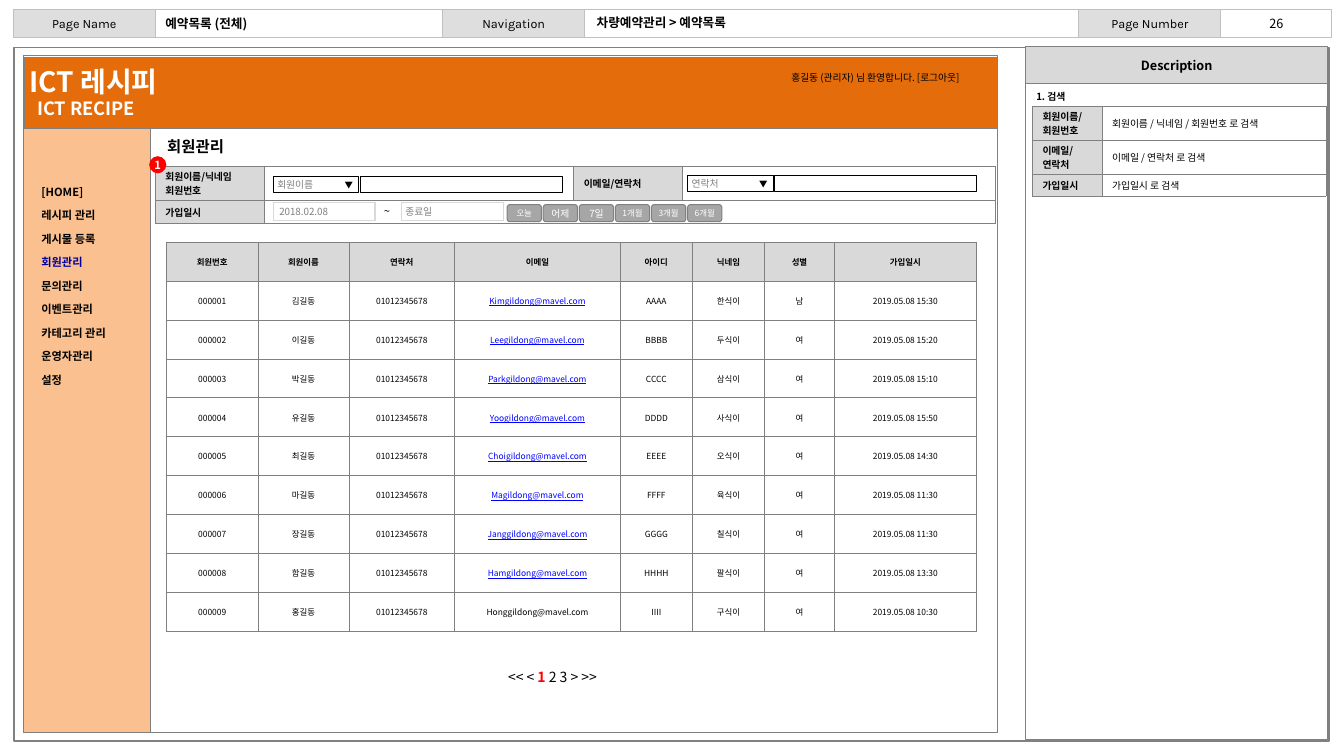
import dataclasses

import pptx
import pptx.dml.color
import pptx.enum.shapes
import pptx.enum.text
import pptx.oxml.ns
import pptx.util
from lxml import etree

SHAPE = pptx.enum.shapes.MSO_SHAPE
ALIGN = pptx.enum.text.PP_ALIGN
qn = pptx.oxml.ns.qn


@dataclasses.dataclass(frozen=True)
class Theme:
    font: str = "Noto Sans CJK KR"
    label_font: str = "Karla"
    black: str = "000000"
    white: str = "FFFFFF"
    line: str = "808080"
    bar_line: str = "C0C0C0"
    bar_fill: str = "DEDEDE"
    head_fill: str = "D9D9D9"
    button: str = "A6A6A6"
    orange: str = "E46C0A"
    peach: str = "FAC090"
    red: str = "FF0000"
    current: str = "000099"
    mail: str = "0000FF"
    tiny: int = 6
    small: int = 7
    menu: int = 8
    bar: int = 9
    pager: int = 10
    heading: int = 11
    subbrand: int = 13
    brand: int = 20


THEME = Theme()


@dataclasses.dataclass
class Cell:
    """One table cell: its paragraphs, its fill and its text style."""
    lines: tuple = ()
    fill: str = THEME.white
    style: dict = dataclasses.field(default_factory=dict)


class Wireframe:
    """Draws on one slide; lengths are columns and rows of a 0.1 inch grid."""
    unit = pptx.util.Inches(0.1)

    def __init__(self, slide, theme):
        self.slide, self.theme = slide, theme

    def grid(self, *lengths):
        return [round(n * self.unit) for n in lengths]

    def color(self, value):
        return pptx.dml.color.RGBColor.from_string(value)

    def add_lines(self, frame, lines, align=ALIGN.LEFT, **style):
        """Each line is a string or a list of (text, style changes) runs."""
        for i, line in enumerate(lines):
            paragraph = frame.paragraphs[0] if i == 0 else frame.add_paragraph()
            paragraph.alignment = align
            for text, change in [(line, {})] if isinstance(line, str) else line:
                self.add_run(paragraph, text, **{**style, **change})

    def add_run(self, paragraph, text, size, color=THEME.black, bold=False,
                underline=False, font=THEME.font):
        run = paragraph.add_run()
        run.text = text
        run.font.size = pptx.util.Pt(size)
        run.font.bold = bold
        run.font.underline = underline
        run.font.color.rgb = self.color(color)
        run.font.name = font
        etree.SubElement(run.font._element, qn("a:ea"), typeface=font)

    def set_frame(self, frame, wrap, middle, inset):
        anchor = pptx.enum.text.MSO_ANCHOR
        frame.auto_size = pptx.enum.text.MSO_AUTO_SIZE.NONE
        frame.word_wrap = wrap
        frame.vertical_anchor = anchor.MIDDLE if middle else anchor.TOP
        frame.margin_left, frame.margin_top = self.grid(*inset)
        frame.margin_right, frame.margin_bottom = self.grid(*inset)

    def title(self, at, lines, **style):
        title = self.slide.shapes.title
        title.left, title.top, title.width, title.height = self.grid(*at)
        self.set_frame(title.text_frame, True, True, (1, 0.5))
        self.add_lines(title.text_frame, lines, **style)

    def text(self, at, lines, wrap=False, middle=False, inset=(1, 0.5), **style):
        box = self.slide.shapes.add_textbox(*self.grid(*at))
        self.set_frame(box.text_frame, wrap, middle, inset)
        self.add_lines(box.text_frame, lines, **style)
        return box

    def box(self, at, fill=None, line=THEME.line, weight=0.75, kind=SHAPE.RECTANGLE,
            lines=(), inset=(0.4, 0), wrap=False, **style):
        shape = self.slide.shapes.add_shape(kind, *self.grid(*at))
        shape.shadow.inherit = False
        if fill:
            shape.fill.solid()
            shape.fill.fore_color.rgb = self.color(fill)
        else:
            shape.fill.background()
        if line:
            shape.line.color.rgb = self.color(line)
            shape.line.width = pptx.util.Pt(weight)
        else:
            shape.line.fill.background()
        if lines:
            self.set_frame(shape.text_frame, wrap, True, inset)
            self.add_lines(shape.text_frame, lines, **style)

    def table(self, corner, widths, heights, rows, size, border=THEME.line, **style):
        at = self.grid(*corner, sum(widths), sum(heights))
        table = self.slide.shapes.add_table(len(rows), len(widths), *at).table
        table.first_row = table.horz_banding = False
        for column, width in zip(table.columns, self.grid(*widths)):
            column.width = width
        for row, height in zip(table.rows, self.grid(*heights)):
            row.height = height
        for r, row in enumerate(rows):
            for c, content in enumerate(row):
                self.fill_cell(table.cell(r, c), content, size, border, style)
        return table

    def fill_cell(self, cell, content, size, border, style):
        cell.vertical_anchor = pptx.enum.text.MSO_ANCHOR.MIDDLE
        cell.margin_top, cell.margin_bottom = self.grid(0.2, 0.2)
        if content.fill:
            cell.fill.solid()
            cell.fill.fore_color.rgb = self.color(content.fill)
        else:
            cell.fill.background()
        self.add_lines(cell.text_frame, content.lines, size=size, **{**style, **content.style})
        if not content.lines:
            etree.SubElement(cell.text_frame.paragraphs[0]._p, qn("a:endParaRPr"), sz=str(size * 100))
        for i, side in enumerate(("a:lnL", "a:lnR", "a:lnT", "a:lnB")):
            edge = etree.Element(qn(side), w=str(pptx.util.Pt(0.5)))
            if border:
                solid = etree.SubElement(edge, qn("a:solidFill"))
                etree.SubElement(solid, qn("a:srgbClr"), val=border)
            else:
                etree.SubElement(edge, qn("a:noFill"))
            cell._tc.get_or_add_tcPr().insert(i, edge)


def head(*lines):
    return Cell(lines, THEME.head_fill, {"bold": True})


def draw_page_bar(page, t):
    page.box((1.4, 4.7, 130.4, 68.8), weight=1)
    page.box((1.6, 0.9, 130.5, 2.8), line=t.bar_line)
    for left, label in ((1.3, "Page Name"), (43.9, "Navigation"), (107, "Page Number")):
        page.box((left, 0.9, 14.1, 2.8), t.bar_fill, t.bar_line, lines=[label],
                 align=ALIGN.CENTER, size=t.bar, font=t.label_font)
    page.text((121.2, 1.1, 10.8, 2.5), ["26"], wrap=True, align=ALIGN.CENTER, size=t.bar)
    page.title((15.4, 1, 28.5, 2.7), ["예약목록 (전체)"], size=t.bar, bold=True)
    page.text((58.2, 0.9, 28.5, 2.7), ["차량예약관리 > 예약목록"], wrap=True, middle=True,
              size=t.bar, bold=True)


def draw_description(page, t):
    page.box((101.7, 4.7, 30, 68.7))
    page.box((101.7, 4.6, 30, 3.7), t.head_fill, lines=["Description"],
             align=ALIGN.CENTER, size=t.bar, bold=True)
    page.text((101.8, 8.5, 30, 2.1), ["1. 검색"], wrap=True, size=t.small, bold=True)
    notes = [(("회원이름/", "회원번호"), "회원이름 / 닉네임 / 회원번호 로 검색"),
             (("이메일/", "연락처"), "이메일 / 연락처 로 검색"),
             (("가입일시",), "가입일시 로 검색")]
    page.table((102.4, 10.55), (6.9, 22.2), (3.35, 3.35, 2.2),
               [(head(*field), Cell((note,))) for field, note in notes], t.small)


def draw_site_frame(page, t):
    page.box((2.3, 5.5, 96.6, 67.2))
    page.box((2.3, 12.4, 12.6, 60.3), t.peach)
    page.box((2.4, 5.7, 96.5, 7.1), t.orange)
    brand = page.text((2.5, 5.7, 33.5, 6.8),
                      ["ICT 레시피", [("ICT RECIPE", {"size": t.subbrand})]], wrap=True,
                      middle=True, inset=(0.4, 0), size=t.brand, color=t.white, bold=True)
    tagline = brand.text_frame.paragraphs[1]
    tagline._p.get_or_add_pPr().set("marL", str(page.grid(0.8)[0]))
    page.text((77.5, 6.6, 20.5, 2.2), ["홍길동 (관리자) 님 환영합니다. [로그아웃]"], size=t.small)
    menu = ["[HOME]", "레시피 관리", "게시물 등록", "회원관리", "문의관리", "이벤트관리",
            "카테고리 관리", "운영자관리", "설정"]
    page.table((3.1, 17.8), (11.4,), [21 / len(menu)] * len(menu),
               [[Cell((item,), None, {"color": t.current if item == "회원관리" else t.black})]
                for item in menu], t.menu, border=None, bold=True)


def draw_search(page, t):
    page.text((15.6, 13.1, 8.2, 2.9), ["회원관리"], size=t.heading, bold=True)
    search = page.table((15.4, 16.5), (10.8, 30.7, 10.8, 31), (3.35, 2.35),
                        [(head("회원이름/닉네임", "회원번호"), Cell(), head("이메일/연락처"), Cell()),
                         (head("가입일시"), Cell(), Cell(), Cell())], t.small)
    search.cell(1, 1).merge(search.cell(1, 3))
    # Drop-downs with their keyword fields
    for left, top, choice in ((27.1, 17.5, "회원이름"), (68.2, 17.4, "연락처")):
        page.box((left, top, 8.5, 1.6), t.white, t.black, lines=[choice], wrap=True,
                 size=t.small, color=t.line)
        page.text((left + 6.1, top - 0.1, 2.9, 1.6), ["▼"], size=t.tiny)
        page.box((left + 8.65, top, 20, 1.6), t.white, t.black)
    # Date range and period buttons
    for left, inset, date in ((27.1, 0.6, "2018.02.08"), (39.8, 0.4, "종료일")):
        page.box((left, 20.1, 10.1, 1.8), t.white, t.head_fill, lines=[date], wrap=True,
                 inset=(inset, 0), size=t.small, color=t.line)
    page.text((37.1, 19.8, 2.8, 2.4), ["~"], size=t.menu)
    periods = [("오늘", t.tiny), ("어제", t.small), ("7일", t.small),
               ("1개월", t.tiny), ("3개월", t.tiny), ("6개월", t.tiny)]
    for i, (period, size) in enumerate(periods):
        page.box((50.3 + 3.58 * i, 20.3, 3.4, 1.7), t.button, kind=SHAPE.ROUNDED_RECTANGLE,
                 lines=[period], align=ALIGN.CENTER, size=size, color=t.white)
    page.box((14.8, 15.5, 1.7, 1.7), t.red, None, kind=SHAPE.OVAL, lines=["1"], inset=(0, 0),
             align=ALIGN.CENTER, size=t.menu, color=t.white, bold=True)


def draw_members(page, t):
    fields = ["회원번호", "회원이름", "연락처", "이메일", "아이디", "닉네임", "성별", "가입일시"]
    members = [("김길동", "Kim", "한식이", "남", "15:30"), ("이길동", "Lee", "두식이", "여", "15:20"),
               ("박길동", "Park", "삼식이", "여", "15:10"), ("유길동", "Yoo", "사식이", "여", "15:50"),
               ("최길동", "Choi", "오식이", "여", "14:30"), ("마길동", "Ma", "육식이", "여", "11:30"),
               ("장길동", "Jang", "칠식이", "여", "11:30"), ("함길동", "Ham", "팔식이", "여", "13:30"),
               ("홍길동", "Hong", "구식이", "여", "10:30")]
    rows = [[head(field) for field in fields]]
    for number, (name, family, nickname, gender, time) in enumerate(members, 1):
        values = [f"{number:06}", name, "01012345678", f"{family}gildong@mavel.com",
                  "ABCDEFGHI"[number - 1] * 4, nickname, gender, f"2019.05.08 {time}"]
        row = [Cell((value,)) for value in values]
        if number < len(members):
            row[3].style = {"color": t.mail, "underline": True}
        rows.append(row)
    page.table((16.5, 24), (9.1, 9, 10.5, 16.4, 7.2, 7.1, 7, 14), [3.87] * len(rows), rows,
               t.tiny, align=ALIGN.CENTER)
    page.text((49.4, 65.8, 13.2, 2.7),
              [[("<< < ", {}), ("1", {"color": t.red, "bold": True}), (" 2 3 > >>", {})]], size=t.pager)


def main():
    deck = pptx.Presentation()
    deck.slide_width, deck.slide_height = pptx.util.Inches(13.33), pptx.util.Inches(7.5)
    page = Wireframe(deck.slides.add_slide(deck.slide_layouts[5]), THEME)
    for draw in (draw_page_bar, draw_description, draw_site_frame, draw_search, draw_members):
        draw(page, THEME)
    deck.save("out.pptx")


if __name__ == "__main__":
    main()
